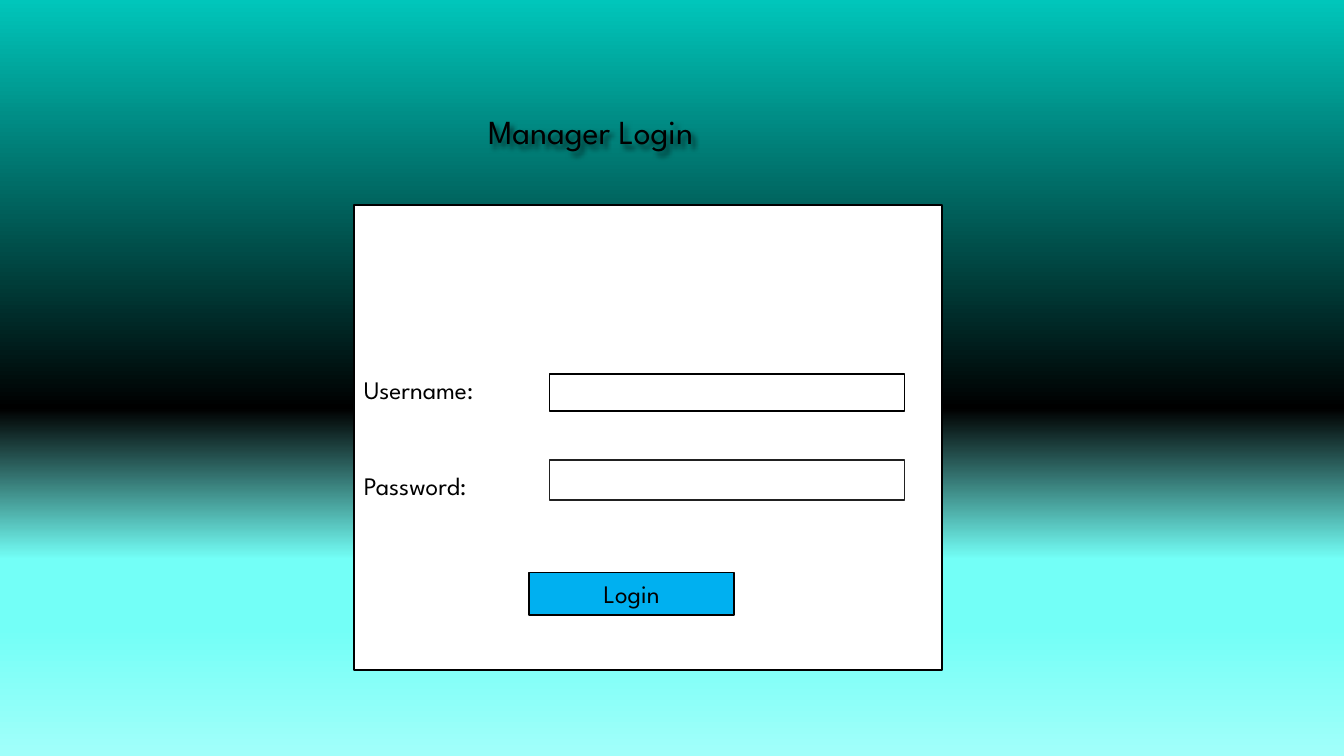
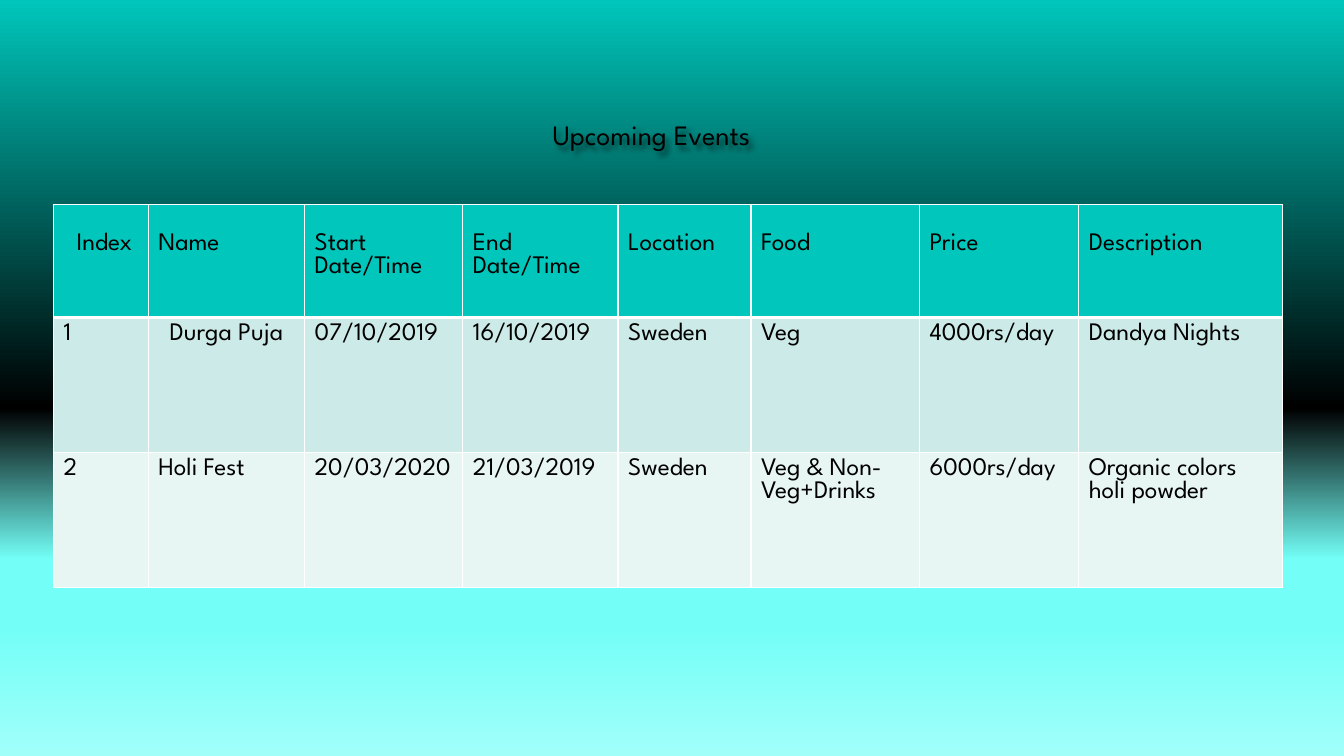
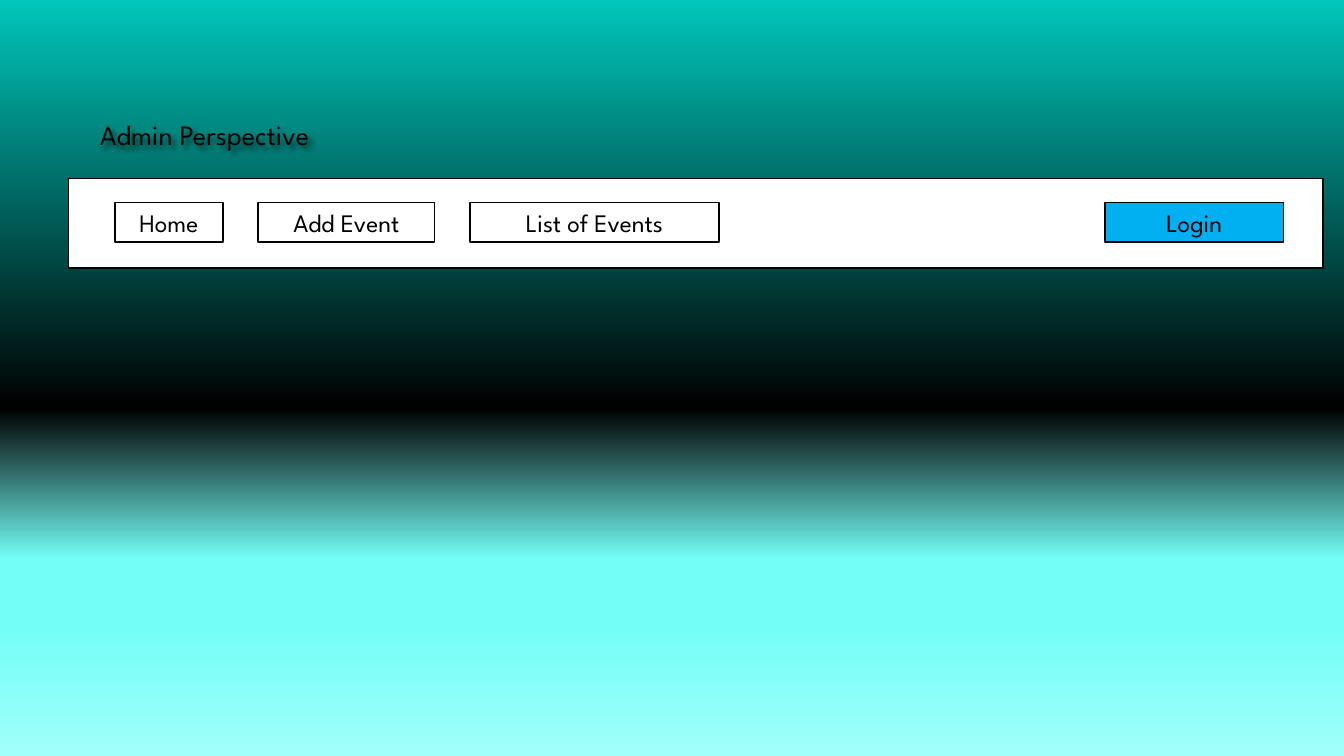
from lxml import etree
from pptx import Presentation
from pptx import util as u
from pptx.dml.color import RGBColor
from pptx.enum import shapes, text
from pptx.oxml.ns import qn

# Shared look
WIDE, HIGH = u.Inches(13.33), u.Inches(7.5)
FONT = "League Spartan"
INK = {"black": "000000", "soft": "212121", "white": "FFFFFF", "blue": "00B0F0",
       "teal": "00C6BB", "mint": "CCEAE7", "pale": "E7F5F3"}
STOPS = [(0, "00C6BB"), (54, "000000"), (74, "73FFF7"), (83, "73FFF7"), (100, "A1FFFA")]
TITLE = (6.68, 6.53, 86.72, 14.13)
LEFT, MID = text.PP_ALIGN.LEFT, text.PP_ALIGN.CENTER

# Event table: heading, column width in percent of the slide
COLS = [("Index", 7.05), ("Name", 11.63), ("Start Date/Time", 11.78),
        ("End Date/Time", 11.55), ("Location", 9.9), ("Food", 12.53),
        ("Price", 11.85), ("Description", 15.15)]
ROWS = [14.93, 17.87, 17.87]
EVENTS = [
    ["1", "Durga Puja", "07/10/2019", "16/10/2019", "Sweden", "Veg",
     "4000rs/day", "Dandya Nights"],
    ["2", "Holi Fest", "20/03/2020", "21/03/2019", "Sweden", "Veg & Non-Veg+Drinks",
     "6000rs/day", "Organic colors holi powder"],
]


def across(share):
    """Percent of the slide's width."""
    return u.Emu(round(WIDE * share / 100))


def down(share):
    """Percent of the slide's height."""
    return u.Emu(round(HIGH * share / 100))


def frame(box):
    x, y, w, h = box
    return across(x), down(y), across(w), down(h)


def color(name):
    return RGBColor.from_string(INK[name])


def node(parent, tag, **attrs):
    item = etree.SubElement(parent, qn(tag))
    for key, value in attrs.items():
        item.set(key, str(value))
    return item


def write(par, words, size=18, align=LEFT):
    par.alignment = align
    run = par.add_run()
    run.text = words
    run.font.name, run.font.size, run.font.bold = FONT, u.Pt(size), False
    run.font.color.rgb = color("black")


# Gradient background on the master
def paint(master):
    fill = master.background.fill
    fill.gradient()
    fill.gradient_angle = 270
    stops = master.element.find(".//" + qn("a:gsLst"))
    for old in list(stops):
        stops.remove(old)
    for spot, tone in STOPS:
        node(node(stops, "a:gs", pos=spot * 1000), "a:srgbClr", val=tone)


# Slide with a shadowed title
def page(deck, words, size=20, indent=0):
    slide = deck.slides.add_slide(deck.slide_layouts[5])
    head = slide.shapes.title
    head.left, head.top, head.width, head.height = frame(TITLE)
    head.text_frame.vertical_anchor = text.MSO_ANCHOR.BOTTOM
    par = head.text_frame.paragraphs[0]
    write(par, words, size)
    props = par._p.get_or_add_pPr()
    props.set("marL", str(across(indent)))
    props.set("indent", "0")
    glow = node(node(head._element.spPr, "a:effectLst"), "a:outerShdw",
                blurRad=50800, dist=38100, dir=2700000, algn="tl", rotWithShape=0)
    node(node(glow, "a:srgbClr", val=INK["black"]), "a:alpha", val=60000)
    return slide


# Outlined box with optional lines of text
def block(slide, box, lines=(), fill="white", edge="black", align=MID, gap=0):
    shape = slide.shapes.add_shape(shapes.MSO_SHAPE.RECTANGLE, *frame(box))
    shape.shadow.inherit = False
    shape.fill.solid()
    shape.fill.fore_color.rgb = color(fill)
    shape.line.color.rgb = color(edge)
    shape.line.width = u.Pt(1.25)
    body = shape.text_frame
    body.vertical_anchor = text.MSO_ANCHOR.MIDDLE
    for i, words in enumerate(lines):
        par = body.add_paragraph() if i else body.paragraphs[0]
        par.space_before = u.Pt(gap if i else 0)
        write(par, words, align=align)


# Table cell with white borders
def cell(item, words, fill, align=LEFT, low=1, high=1):
    props = item._tc.get_or_add_tcPr()
    for side, width in (("L", 1), ("R", 1), ("T", high), ("B", low)):
        line = node(props, "a:ln" + side, w=u.Pt(width))
        node(node(line, "a:solidFill"), "a:srgbClr", val=INK["white"])
    item.fill.solid()
    item.fill.fore_color.rgb = color(fill)
    write(item.text_frame.paragraphs[0], words, align=align)


def grid(slide, x, y):
    box = (x, y, sum(w for _, w in COLS), sum(ROWS))
    table = slide.shapes.add_table(len(ROWS), len(COLS), *frame(box)).table
    for row, h in zip(table.rows, ROWS):
        row.height = down(h)
    for c, (name, w) in enumerate(COLS):
        table.columns[c].width = across(w)
        top = table.cell(0, c)
        cell(top, name, "teal", low=3)
        top.margin_top = u.Inches(0.28)
        for r, event in enumerate(EVENTS, 1):
            cell(table.cell(r, c), event[c], ("mint", "pale")[r - 1],
                 MID if (r, c) == (1, 1) else LEFT, high=3 if r == 1 else 1)
    table.cell(0, 0).margin_left = u.Inches(0.23)


# Slides
def login(deck):
    slide = page(deck, "Manager Login", 24, 28.88)
    block(slide, (26.33, 27.07, 43.74, 61.6), ["Username:", "Password:"],
          align=LEFT, gap=47)
    block(slide, (40.89, 49.47, 26.41, 4.93))
    block(slide, (40.89, 60.8, 26.41, 5.33), edge="soft")
    block(slide, (39.38, 75.73, 15.23, 5.6), ["Login"], "blue")


def events(deck):
    grid(page(deck, "Upcoming Events", indent=33.68), 3.98, 27.07)


def admin(deck):
    slide = page(deck, "Admin Perspective")
    block(slide, (5.1, 23.6, 93.32, 11.87))
    x, y, h, gap = 8.55, 26.8, 5.2, 2.63
    for name, w in (("Home", 8.03), ("Add Event", 13.13), ("List of Events", 18.53)):
        block(slide, (x, y, w, h), [name])
        x += w + gap
    block(slide, (82.22, y, 13.28, h), ["Login"], "blue")


def main():
    deck = Presentation()
    deck.slide_width, deck.slide_height = WIDE, HIGH
    paint(deck.slide_master)
    login(deck)
    events(deck)
    admin(deck)
    deck.save("out.pptx")


if __name__ == "__main__":
    main()
